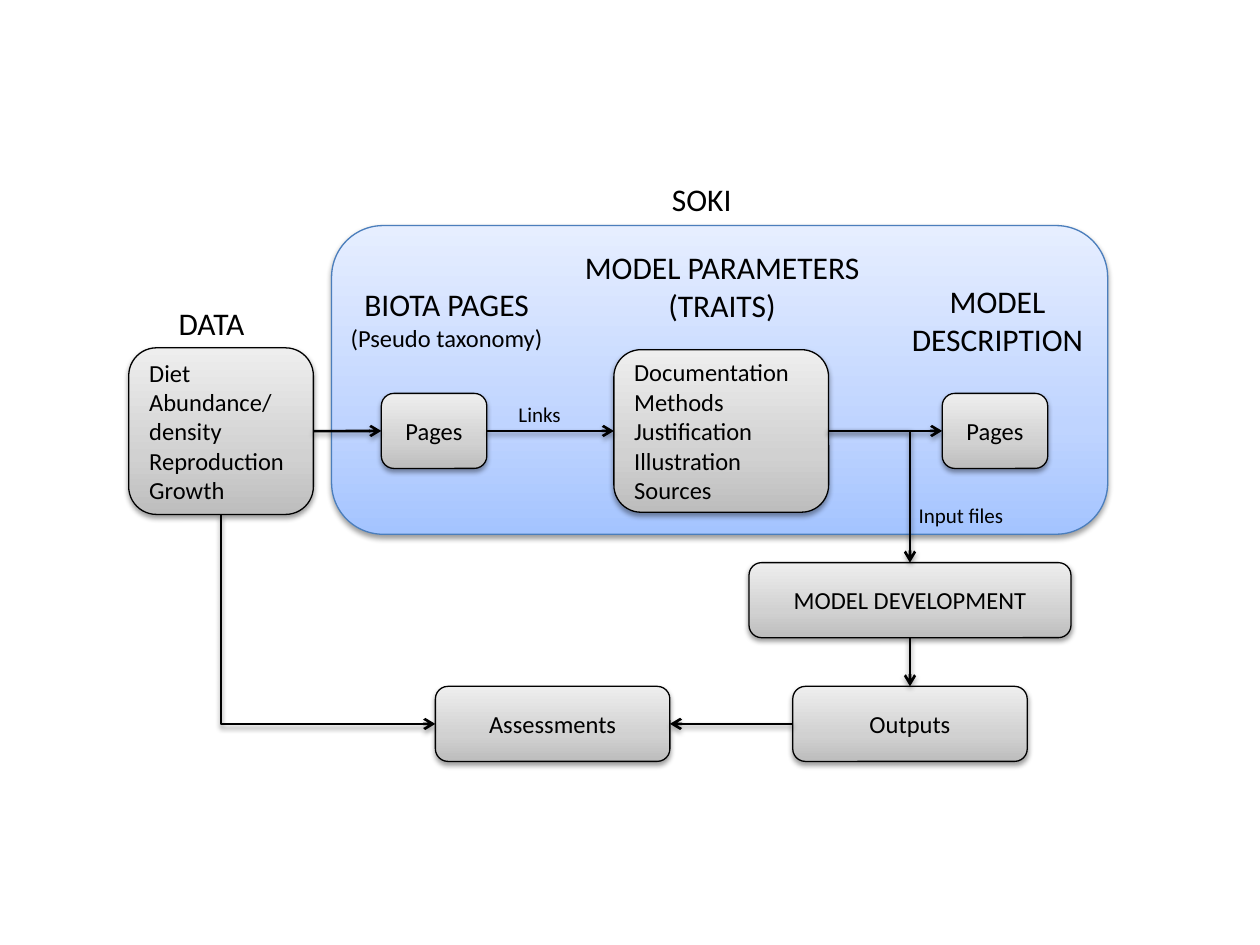
import copy
import pptx
import pptx.util
import pptx.dml.color
import pptx.enum.shapes
import pptx.enum.text
import pptx.oxml
import pptx.oxml.ns
from lxml import etree

Pt = pptx.util.Pt
RGB = pptx.dml.color.RGBColor.from_string
ALIGN = pptx.enum.text.PP_ALIGN
CONNECTOR = pptx.enum.shapes.MSO_CONNECTOR
qn = pptx.oxml.ns.qn

THEME = {
    "font": "Calibri",
    "ink": "000000",
    "panel_line": "4B7EBC",
    "panel": ("A4C4FF", "BFD4FF", "E6EEFF"),
    "box": ("BDBDBD", "D1D1D1", "EEEEEE"),
    "stops": (0, 0.35, 1),
    "heading": 18,
    "body": 14,
    "label": 12,
    "box_line": 0.75,
    "arrow_line": 1.5,
}

PANEL = (189.5, 128.9, 443.5, 176.4)

BOXES = {
    "data": ((73.6, 198.8, 105.5, 95.2), "left",
             ["Diet", "Abundance/density", "Reproduction", "Growth"]),
    "traits": ((350.8, 199.8, 122.7, 92.9), "left",
               ["Documentation", "Methods", "Justification", "Illustration", "Sources"]),
    "development": ((428, 321.5, 184, 42.9), "center", ["MODEL DEVELOPMENT"]),
    "assessments": ((248.8, 392.2, 134, 42.9), "center", ["Assessments"]),
    "outputs": ((453, 392.2, 134, 42.9), "center", ["Outputs"]),
    "biota": ((217.9, 224.8, 60.3, 42.9), "center", ["Pages"]),
    "description": ((538.4, 224.8, 60.3, 42.9), "center", ["Pages"]),
}

LABELS = [
    ((95, 170, 55.4, 29), "left", False, [("DATA", "heading")]),
    ((192.2, 159.3, 126, 46), "center", False,
     [("BIOTA PAGES", "heading"), ("(Pseudo taxonomy)", "body")]),
    ((325.5, 138.3, 174.2, 51), "center", False,
     [("MODEL PARAMETERS", "heading"), ("(TRAITS)", "heading")]),
    ((493, 157.8, 154, 51), "center", True, [("MODEL DESCRIPTION", "heading")]),
    ((324, 99.5, 154, 29), "center", True, [("SOKI", "heading")]),
    ((289.2, 225.6, 39.6, 21.8), "left", False, [("Links", "label")]),
    ((517.8, 283.8, 64, 21.8), "left", False, [("Input files", "label")]),
]

STRAIGHT_ARROWS = [
    ("data", "right", "biota", "left"),
    ("biota", "right", "traits", "left"),
    ("traits", "right", "description", "left"),
    ("development", "bottom", "outputs", "top"),
    ("outputs", "left", "assessments", "right"),
]

presentation = pptx.Presentation()
presentation.slide_width, presentation.slide_height = Pt(720), Pt(540)
slide = presentation.slides.add_slide(presentation.slide_layouts[6])


def add_shadow(shape):
    effects = etree.SubElement(shape._element.spPr, qn("a:effectLst"))
    shadow = etree.SubElement(effects, qn("a:outerShdw"), blurRad=str(Pt(3.1)),
                              dist=str(Pt(1.6)), dir="5400000", rotWithShape="0")
    color = etree.SubElement(shadow, qn("a:srgbClr"), val=THEME["ink"])
    etree.SubElement(color, qn("a:alpha"), val="38000")


def write(frame, lines, align):
    for index, (text, size) in enumerate(lines):
        paragraph = frame.paragraphs[0] if index == 0 else frame.add_paragraph()
        paragraph.text = text
        paragraph.alignment = ALIGN.CENTER if align == "center" else ALIGN.LEFT
        paragraph.font.name = THEME["font"]
        paragraph.font.size = Pt(THEME[size])
        paragraph.font.color.rgb = RGB(THEME["ink"])


def add_box(bounds, colors, line_color):
    shape = slide.shapes.add_shape(
        pptx.enum.shapes.MSO_SHAPE.ROUNDED_RECTANGLE, *map(Pt, bounds))
    shape.fill.gradient()
    shape.fill.gradient_angle = 90
    stop_list = shape._element.spPr.find(".//" + qn("a:gsLst"))
    stop_list.append(copy.deepcopy(stop_list[-1]))
    for stop, color, position in zip(shape.fill.gradient_stops, colors, THEME["stops"]):
        stop.color.rgb = RGB(color)
        stop.position = position
    shape.line.color.rgb = RGB(line_color)
    shape.line.width = Pt(THEME["box_line"])
    add_shadow(shape)
    return shape


def anchor(name, side):
    left, top, width, height = BOXES[name][0]
    dx, dy = {"left": (0, 0.5), "right": (1, 0.5), "top": (0.5, 0), "bottom": (0.5, 1)}[side]
    return left + dx * width, top + dy * height


def add_arrow(start, end, kind=CONNECTOR.STRAIGHT):
    connector = slide.shapes.add_connector(kind, *map(Pt, (*start, *end)))
    connector.line.color.rgb = RGB(THEME["ink"])
    connector.line.width = Pt(THEME["arrow_line"])
    etree.SubElement(connector.line._get_or_add_ln(), qn("a:tailEnd"), type="arrow")
    add_shadow(connector)
    if kind == CONNECTOR.ELBOW:
        connector._element.spPr.find(qn("a:prstGeom")).set("prst", "bentConnector2")
    return connector


add_box(PANEL, THEME["panel"], THEME["panel_line"])
for bounds, align, lines in BOXES.values():
    box = add_box(bounds, THEME["box"], THEME["ink"])
    box.text_frame.word_wrap = True
    box.text_frame.vertical_anchor = pptx.enum.text.MSO_ANCHOR.MIDDLE
    write(box.text_frame, [(line, "body") for line in lines], align)

for source, source_side, target, target_side in STRAIGHT_ARROWS:
    add_arrow(anchor(source, source_side), anchor(target, target_side))

add_arrow(anchor("traits", "right"), anchor("development", "top"), CONNECTOR.ELBOW)

start_x, start_y = anchor("data", "bottom")
end_x, end_y = anchor("assessments", "left")
center_x, center_y = (start_x + end_x) / 2, (start_y + end_y) / 2
half_width, half_height = (end_y - start_y) / 2, (end_x - start_x) / 2
down_then_right = add_arrow((center_x + half_width, center_y - half_height),
                            (center_x - half_width, center_y + half_height),
                            CONNECTOR.ELBOW)
down_then_right._element.spPr.find(qn("a:xfrm")).set("rot", "16200000")

for bounds, align, wrap, lines in LABELS:
    frame = slide.shapes.add_textbox(*map(Pt, bounds)).text_frame
    frame.word_wrap = wrap
    frame.auto_size = pptx.enum.text.MSO_AUTO_SIZE.SHAPE_TO_FIT_TEXT
    write(frame, lines, align)

presentation.save("out.pptx")
